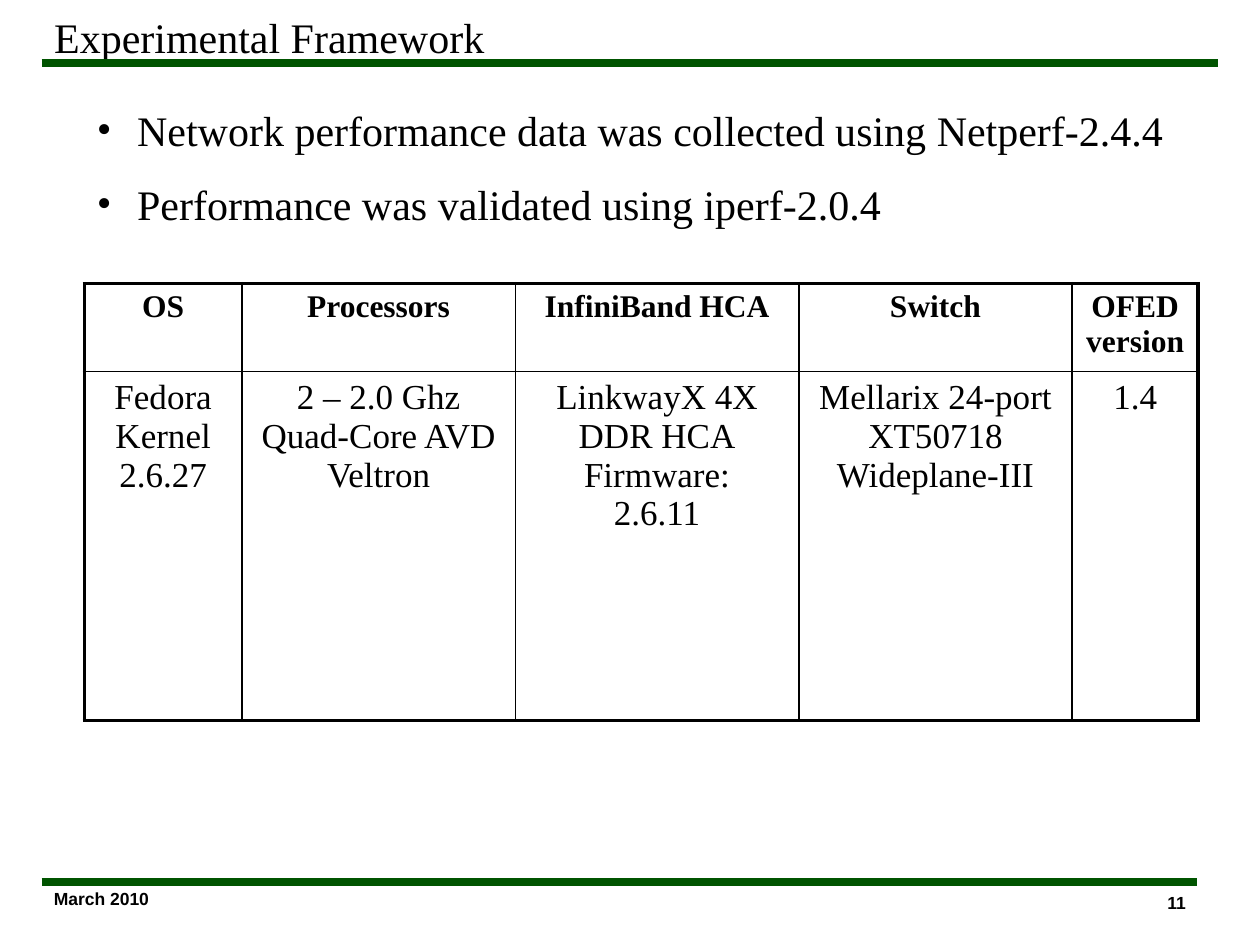
from lxml import etree
from pptx import Presentation
from pptx.dml.color import RGBColor
from pptx.enum import shapes, text
from pptx.oxml import ns
from pptx.util import Inches, Pt

SERIF, SANS = "Times New Roman", "Arial"
BLACK, GREEN = "000000", "005400"


def write(para, words, size, face=SERIF, bold=False):
    """Add one formatted run to a paragraph."""
    run = para.add_run()
    run.text = words
    run.font.size = Pt(size)
    run.font.name = face
    run.font.bold = bold
    run.font.color.rgb = RGBColor.from_string(BLACK)


def add(parent, tag, **attrs):
    return etree.SubElement(parent, ns.qn(tag), attrs)


deck = Presentation()
deck.slide_width, deck.slide_height = Inches(10), Inches(7.5)
slide = deck.slides.add_slide(deck.slide_layouts[5])

# Rules under the title and above the footer
for right, y in ((9.67, 0.5), (9.5, 7)):
    rule = slide.shapes.add_connector(
        shapes.MSO_CONNECTOR.STRAIGHT,
        Inches(0.33), Inches(y), Inches(right), Inches(y))
    rule.line.color.rgb = RGBColor.from_string(GREEN)
    rule.line.width = Pt(4.5)
    add(rule._element.spPr, "a:effectLst")

# Title
title = slide.shapes.title
title.left, title.top = Inches(0.33), Inches(0)
title.width, title.height = Inches(7.92), Inches(0.58)
frame = title.text_frame
frame.auto_size = text.MSO_AUTO_SIZE.NONE
frame.vertical_anchor = text.MSO_ANCHOR.MIDDLE
frame.paragraphs[0].alignment = text.PP_ALIGN.LEFT
write(frame.paragraphs[0], "Experimental Framework", 24)

# Footer: date and page number
footer = (
    ("March 2010", 0.33, 7, text.PP_ALIGN.LEFT),
    ("11", 7.84, 7.03, text.PP_ALIGN.RIGHT),
)
for words, x, y, align in footer:
    box = slide.shapes.add_textbox(
        Inches(x), Inches(y), Inches(1.67), Inches(0.25))
    box.text_frame.word_wrap = True
    para = box.text_frame.paragraphs[0]
    para.alignment = align
    write(para, words, 10, SANS, True)

# Bullets
points = (
    "Network performance data was collected using Netperf-2.4.4",
    "Performance was validated using iperf-2.0.4",
)
box = slide.shapes.add_textbox(
    Inches(0.67), Inches(0.78), Inches(8.67), Inches(1.1))
frame = box.text_frame
frame.word_wrap = True
for i, words in enumerate(points):
    para = frame.add_paragraph() if i else frame.paragraphs[0]
    props = para._p.get_or_add_pPr()
    props.set("marL", str(Inches(0.32)))
    props.set("indent", str(-Inches(0.32)))
    add(props, "a:buFont", typeface=SERIF)
    add(props, "a:buChar", char="•")
    if i:
        para.space_before = Pt(13.5)
    write(para, words, 24)

# Table of the test system: heading, then lines of the value
specs = (
    (1.25, "OS", ("Fedora", "Kernel", "2.6.27")),
    (2.17, "Processors", ("2 – 2.0 Ghz Quad-Core AVD Veltron",)),
    (2.25, "InfiniBand HCA", ("LinkwayX 4X DDR HCA", "Firmware:", "2.6.11")),
    (2.17, "Switch", ("Mellarix 24-port XT50718 Wideplane-III",)),
    (1, "OFED version", ("1.4",)),
)
rows = (0.65, 2.77)
grid = slide.shapes.add_table(
    len(rows), len(specs), Inches(0.67), Inches(2.25),
    Inches(sum(s[0] for s in specs)), Inches(sum(rows))).table
grid.first_row = grid.horz_banding = False
for r, height in enumerate(rows):
    grid.rows[r].height = Inches(height)

for c, (width, head, lines) in enumerate(specs):
    grid.columns[c].width = Inches(width)
    for r, words in enumerate(((head,), lines)):
        cell = grid.cell(r, c)
        frame = cell.text_frame
        for i, line in enumerate(words):
            para = frame.add_paragraph() if i else frame.paragraphs[0]
            para.alignment = text.PP_ALIGN.CENTER
            write(para, line, 20 if r else 18, bold=not r)

        # Heavy outer frame, thin inner lines
        outer = {
            "a:lnL": c == 0,
            "a:lnR": c == len(specs) - 1,
            "a:lnT": r == 0,
            "a:lnB": r == len(rows) - 1,
        }
        props = cell._tc.get_or_add_tcPr()
        for tag, heavy in outer.items():
            edge = add(props, tag, w=str(Pt(2.25 if heavy else 1)))
            add(add(edge, "a:solidFill"), "a:srgbClr", val=BLACK)
        cell.fill.background()

deck.save("out.pptx")
